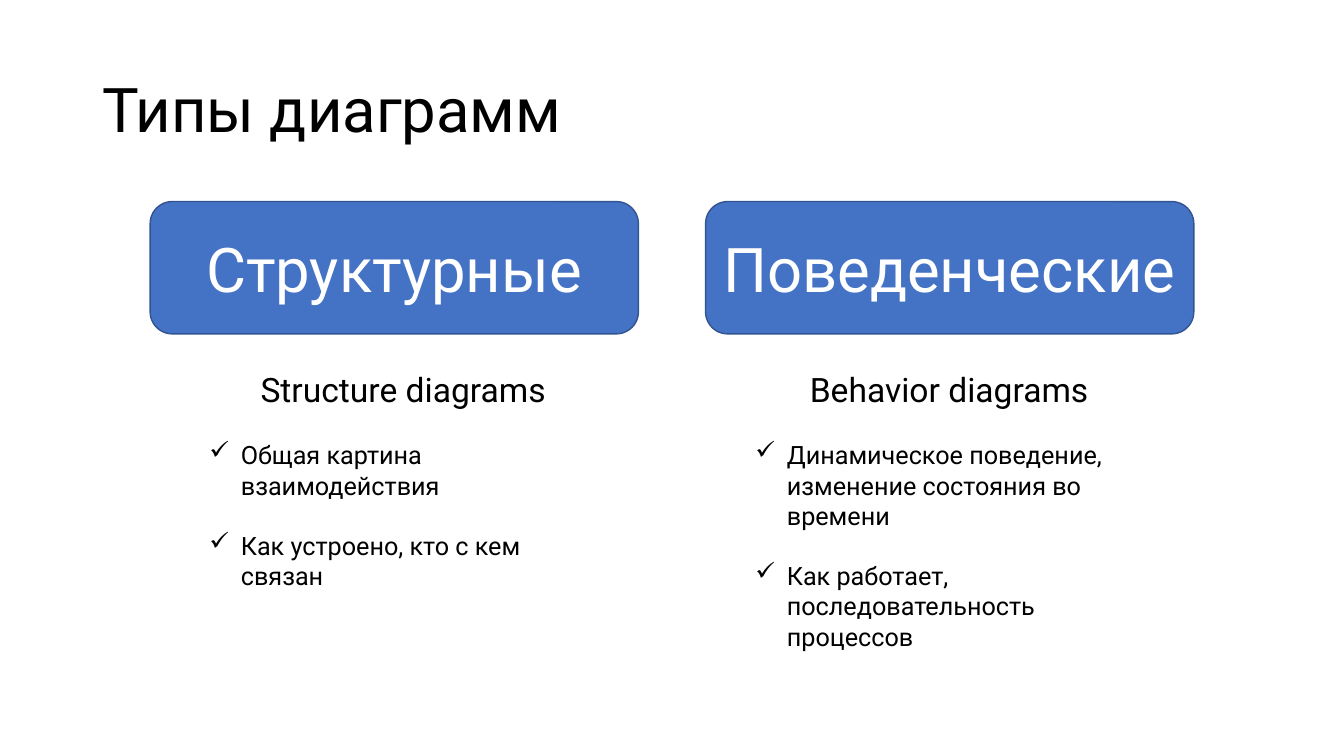
import lxml.etree
import pptx
import pptx.dml.color
import pptx.enum.shapes
import pptx.enum.text
import pptx.oxml.ns
import pptx.util

PX = 9525
FONT = "Roboto"
BLACK = "000000"
WHITE = "FFFFFF"
BLUE = "4472C4"
DARK_BLUE = "325491"
BULLET_INDENT = 30
ALIGN = pptx.enum.text.PP_ALIGN
ANCHOR = pptx.enum.text.MSO_ANCHOR

COLUMNS = [
    (143, 190, "Структурные", "Structure diagrams",
     ["Общая картина взаимодействия", "Как устроено, кто с кем связан"]),
    (672, 710, "Поведенческие", "Behavior diagrams",
     ["Динамическое поведение, изменение состояния во времени",
      "Как работает, последовательность процессов"]),
]


def px(*lengths):
    return [pptx.util.Emu(length * PX) for length in lengths]


def color(value):
    return pptx.dml.color.RGBColor.from_string(value)


def add_bullet(paragraph):
    properties = paragraph._p.get_or_add_pPr()
    properties.set("marL", str(BULLET_INDENT * PX))
    properties.set("indent", str(-BULLET_INDENT * PX))
    bullet = lxml.etree.SubElement(properties, pptx.oxml.ns.qn("a:buChar"))
    bullet.set("char", "✓")


def write_text(paragraph, text, size, font_color=BLACK, align=ALIGN.LEFT,
               bullet=False, space_before=None, line_spacing=None):
    if bullet:
        add_bullet(paragraph)
    paragraph.alignment = align
    if space_before is not None:
        paragraph.space_before = pptx.util.Pt(space_before)
    if line_spacing is not None:
        paragraph.line_spacing = line_spacing
    run = paragraph.add_run()
    run.text = text
    run.font.name = FONT
    run.font.size = pptx.util.Pt(size)
    run.font.color.rgb = color(font_color)


def add_text_frame(slide, box, anchor=ANCHOR.TOP):
    frame = slide.shapes.add_textbox(*px(*box)).text_frame
    frame.word_wrap = True
    frame.vertical_anchor = anchor
    return frame


def add_title(slide, box, text):
    frame = add_text_frame(slide, box, ANCHOR.MIDDLE)
    write_text(frame.paragraphs[0], text, 44, line_spacing=0.9)


def add_category(slide, box, text):
    kind = pptx.enum.shapes.MSO_SHAPE.FLOWCHART_ALTERNATE_PROCESS
    shape = slide.shapes.add_shape(kind, *px(*box))
    shape.shadow.inherit = False
    shape.fill.solid()
    shape.fill.fore_color.rgb = color(BLUE)
    shape.line.color.rgb = color(DARK_BLUE)
    shape.line.width = pptx.util.Pt(1)
    frame = shape.text_frame
    frame.word_wrap = True
    frame.vertical_anchor = ANCHOR.MIDDLE
    write_text(frame.paragraphs[0], text, 44, WHITE, ALIGN.CENTER)


def add_description(slide, box, heading, points):
    frame = add_text_frame(slide, box)
    write_text(frame.paragraphs[0], heading, 24, align=ALIGN.CENTER)
    for point in points:
        write_text(frame.add_paragraph(), point, 18, bullet=True, space_before=21.5)


def main():
    presentation = pptx.Presentation()
    presentation.slide_width, presentation.slide_height = px(1280, 720)
    slide = presentation.slides.add_slide(presentation.slide_layouts[6])
    add_title(slide, (88, 38, 1104, 139), "Типы диаграмм")
    for category_left, text_left, category, heading, points in COLUMNS:
        add_description(slide, (text_left, 347, 388, 223), heading, points)
        add_category(slide, (category_left, 192, 465, 126), category)
    presentation.save("out.pptx")


if __name__ == "__main__":
    main()
